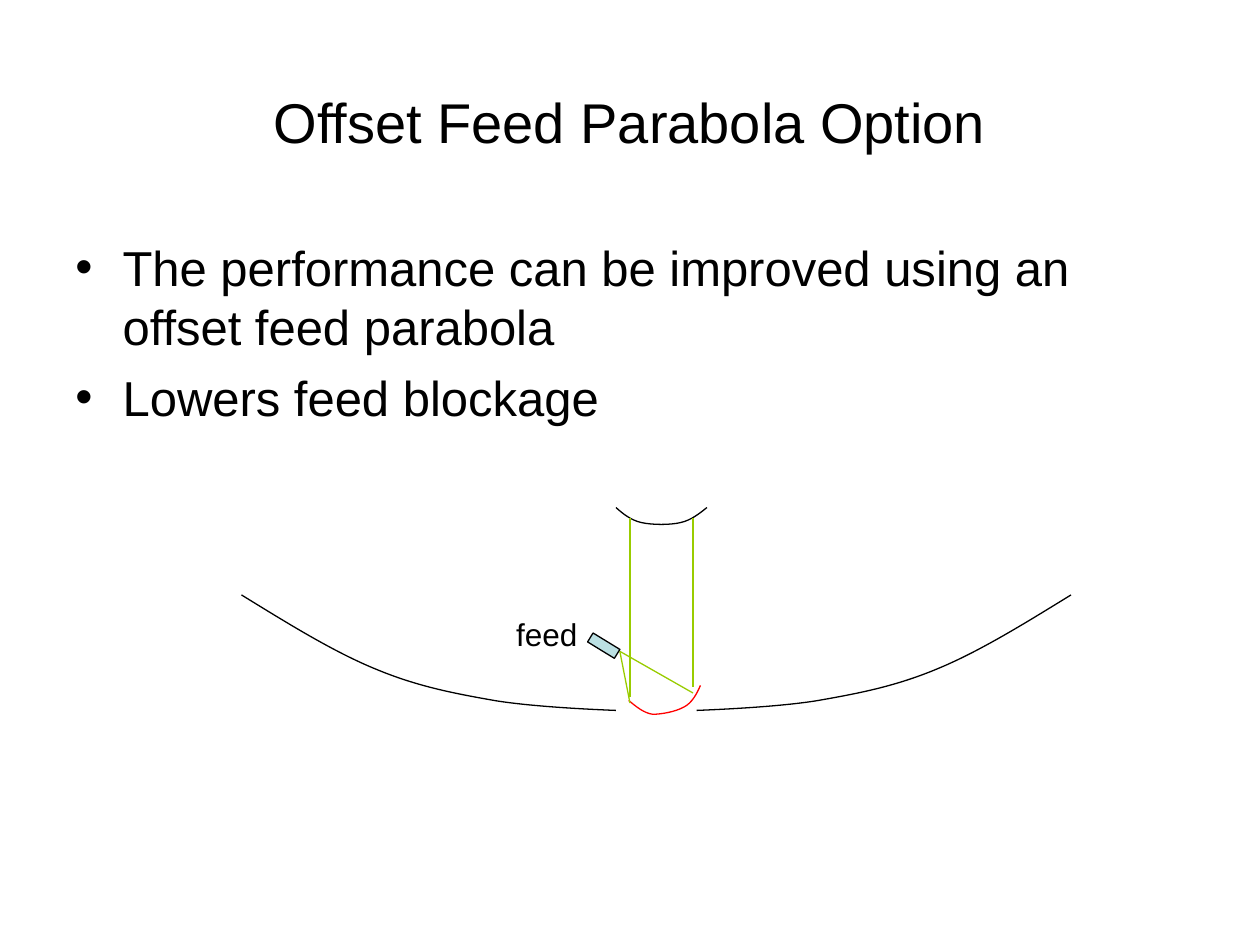
from lxml.etree import SubElement
from pptx import Presentation
from pptx.dml.color import RGBColor
from pptx.enum.shapes import MSO_CONNECTOR, MSO_SHAPE
from pptx.enum.text import MSO_ANCHOR, PP_ALIGN
from pptx.oxml.ns import qn
from pptx.util import Pt

BLACK, GREEN, RED, BLUE = "000000", "99CC00", "FF0000", "BBE0E3"

# Curves as a start point followed by triples of Bezier points
DISH = [(0, 50), (26, 66), (52.5, 82.5), (77, 92.5), (101, 102.5),
        (122.5, 106.5), (145.5, 110.5), (167.5, 114), (201, 115.5), (214, 116)]
UPPER = [(214, 0), (218, 3.6), (222.5, 7.2), (228.5, 8.6), (235, 10),
         (245, 10), (251, 8.6), (257, 7.2), (261.5, 3.6), (266, 0)]
OFFSET = [(221.3, 110.3), (225.6, 113.9), (230, 117.5), (235, 118.2), (240, 118.2),
          (248, 116.8), (253, 114), (257.3, 111.8), (260.2, 106.7), (262.3, 101.7)]
RAYS = [((258, 102.4), (258, 6)), ((222, 108.2), (222, 6)),
        ((258, 106), (216.2, 82.2)), ((222, 111.8), (216.2, 82.2))]


def color(code):
    return RGBColor.from_string(code)


def stroke(shape, code):
    shape.line.color.rgb = color(code)
    shape.line.width = Pt(0.75)


def add_text(slide, box, lines, size, align, wrap=True, anchor=MSO_ANCHOR.TOP):
    frame = slide.shapes.add_textbox(*map(Pt, box)).text_frame
    frame.word_wrap = wrap
    frame.vertical_anchor = anchor
    frame.text = "\n".join(lines)
    for para in frame.paragraphs:
        para.alignment = align
        para.font.name = "Arial"
        para.font.size = Pt(size)
        para.font.color.rgb = color(BLACK)
    return frame


def add_title(slide, box):
    add_text(slide, box, ["Offset Feed Parabola Option"], 32,
             PP_ALIGN.CENTER, anchor=MSO_ANCHOR.MIDDLE)


def add_body(slide, box):
    lines = ["The performance can be improved using an offset feed parabola",
             "Lowers feed blockage"]
    for para in add_text(slide, box, lines, 28, PP_ALIGN.LEFT).paragraphs:
        para.space_before = Pt(7)
        props = para._p.get_or_add_pPr()
        props.set("marL", str(Pt(27)))
        props.set("indent", str(-Pt(27)))
        SubElement(props, qn("a:buFont"), typeface="Arial")
        SubElement(props, qn("a:buChar"), char="•")


def add_curve(slide, points, code):
    spots = [(Pt(x), Pt(y)) for x, y in points]
    build = slide.shapes.build_freeform(*spots[0])
    build.add_line_segments(spots[1:], close=False)
    shape = build.convert_to_shape()
    shape.shadow.inherit = False
    shape.fill.background()
    stroke(shape, code)
    # Join each three line segments into one Bezier segment
    track = shape._element.find(".//" + qn("a:path"))
    steps = track.findall(qn("a:lnTo"))
    for i in range(0, len(steps), 3):
        bend = SubElement(track, qn("a:cubicBezTo"))
        for step in steps[i:i + 3]:
            bend.append(step[0])
            track.remove(step)


def add_ray(slide, start, end):
    ray = slide.shapes.add_connector(
        MSO_CONNECTOR.STRAIGHT, *map(Pt, start + end))
    stroke(ray, GREEN)
    SubElement(ray._element.spPr, qn("a:effectLst"))


def add_diagram(slide, box):
    left, top, width, _ = box

    def place(points):
        return [(left + x, top + y) for x, y in points]

    # Main dish halves and upper reflector
    add_curve(slide, place(DISH), BLACK)
    add_curve(slide, place([(width - x, y) for x, y in DISH]), BLACK)
    add_curve(slide, place(UPPER), BLACK)

    # Offset reflector and rays
    add_curve(slide, place(OFFSET), RED)
    for ray in RAYS:
        add_ray(slide, *place(ray))

    # Feed and its label
    feed = slide.shapes.add_shape(
        MSO_SHAPE.RECTANGLE, Pt(left + 198), Pt(top + 76), Pt(18), Pt(6))
    feed.rotation = 31.5
    feed.shadow.inherit = False
    feed.fill.solid()
    feed.fill.fore_color.rgb = color(BLUE)
    stroke(feed, BLACK)
    add_text(slide, (left + 147, top + 58, 55, 29), ["feed"], 18,
             PP_ALIGN.CENTER, wrap=False)


def main():
    deck = Presentation()
    deck.slide_width, deck.slide_height = Pt(720), Pt(540)
    slide = deck.slides.add_slide(deck.slide_layouts[6])
    add_title(slide, (36, 24, 648, 90))
    add_body(slide, (36, 132, 648, 356))
    add_diagram(slide, (138, 290, 474, 118))
    deck.save("out.pptx")


if __name__ == "__main__":
    main()
